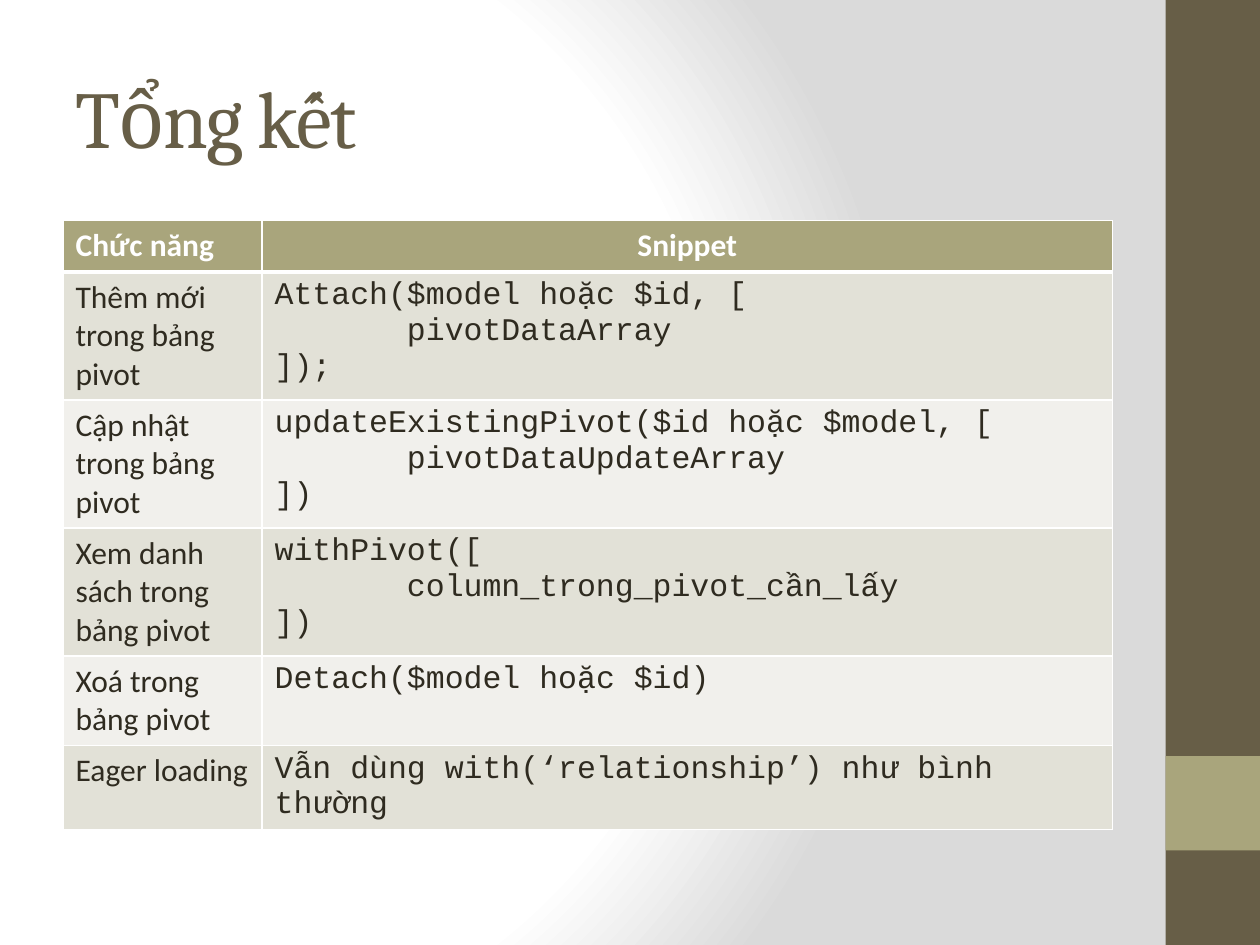
from lxml import etree
from pptx import Presentation
from pptx.dml.color import RGBColor
from pptx.enum.shapes import MSO_SHAPE
from pptx.enum.text import MSO_ANCHOR, PP_ALIGN
from pptx.oxml import parse_xml
from pptx.oxml.ns import qn
from pptx.util import Inches, Pt

# Content
TITLE = "Tổng kết"
HEADERS = ("Chức năng", "Snippet")
# Function, code lines as (indent level, text), row height
SNIPPETS = [
    ("Thêm mới trong bảng pivot",
     [(0, "Attach($model hoặc $id, ["), (1, "pivotDataArray"), (0, "]);")], 1.01),
    ("Cập nhật trong bảng pivot",
     [(0, "updateExistingPivot($id hoặc $model, ["), (1, "pivotDataUpdateArray"), (0, "])")], 1.01),
    ("Xem danh sách trong bảng pivot",
     [(0, "withPivot(["), (1, "column_trong_pivot_cần_lấy"), (0, "])")], 1.01),
    ("Xoá trong bảng pivot", [(0, "Detach($model hoặc $id)")], 0.71),
    ("Eager loading", [(0, "Vẫn dùng with(‘relationship’) như bình thường")], 0.66),
]
COLORS = {"brown": "675E47", "olive": "A9A57C", "ink": "2F2B20", "white": "FFFFFF",
          "grey": "DADADA", "band_dark": "E2E1D7", "band_light": "F1F0EC"}
HEADER_HEIGHT = 0.41
COLUMN_WIDTHS = (1.58, 6.75)
CODE_INDENT = Inches(1.05)


def rgb(name):
    return RGBColor.from_string(COLORS[name])


def style_run(run, font, size, color, bold=False):
    run.font.name, run.font.size, run.font.bold = font, Pt(size), bold
    run.font.color.rgb = rgb(color)


def set_borders(cell, **widths):
    for side in "LRTB":
        line = etree.SubElement(cell._tc.get_or_add_tcPr(), qn(f"a:ln{side}"),
                                w=str(Pt(widths.get(side, 1))))
        fill = etree.SubElement(line, qn("a:solidFill"))
        etree.SubElement(fill, qn("a:srgbClr"), val=COLORS["white"])


def fill_cell(cell, lines, font, color, fill, bold=False, align=PP_ALIGN.LEFT, **borders):
    set_borders(cell, **borders)
    cell.fill.solid()
    cell.fill.fore_color.rgb = rgb(fill)
    frame = cell.text_frame
    for i, (level, text) in enumerate(lines):
        paragraph = frame.add_paragraph() if i else frame.paragraphs[0]
        paragraph.alignment = align
        if level:
            paragraph._p.get_or_add_pPr().set("marL", str(level * CODE_INDENT))
        run = paragraph.add_run()
        run.text = text
        style_run(run, font, 18, color, bold)


prs = Presentation()
prs.slide_width, prs.slide_height = Inches(10), Inches(7.5)
slide = prs.slides.add_slide(prs.slide_layouts[5])

# Background gradient
slide.background.fill.solid()
bg_props = slide._element.cSld.find(".//" + qn("p:bgPr"))
stops = "".join(f'<a:gs pos="{pos * 1000}"><a:srgbClr val="{COLORS[name]}"/></a:gs>'
                for pos, name in ((0, "white"), (75, "white"), (100, "grey")))
bg_props.replace(bg_props[0], parse_xml(
    '<a:gradFill xmlns:a="http://schemas.openxmlformats.org/drawingml/2006/main" '
    f'rotWithShape="1"><a:gsLst>{stops}</a:gsLst><a:path path="circle">'
    '<a:fillToRect l="20000" t="50000" r="100000" b="50000"/></a:path></a:gradFill>'))

# Side bar and its accent
for top, height, color in ((0, 7.5, "brown"), (6, 0.75, "olive")):
    bar = slide.shapes.add_shape(MSO_SHAPE.RECTANGLE, Inches(9.25), Inches(top),
                                 Inches(0.75), Inches(height))
    bar.shadow.inherit = False
    bar.fill.solid()
    bar.fill.fore_color.rgb = rgb(color)
    bar.line.fill.background()

# Title
title = slide.shapes.title
title.left, title.top = Inches(0.5), Inches(0.3)
title.width, title.height = Inches(sum(COLUMN_WIDTHS)), Inches(1.25)
title.text_frame.text = TITLE
title.text_frame.vertical_anchor = MSO_ANCHOR.MIDDLE
heading = title.text_frame.paragraphs[0]
heading.alignment = PP_ALIGN.LEFT
style_run(heading.runs[0], "Cambria", 46, "brown")
heading.runs[0].font._element.set("spc", "-100")

# Table
heights = [HEADER_HEIGHT] + [height for _, _, height in SNIPPETS]
table = slide.shapes.add_table(len(heights), len(HEADERS), Inches(0.5), Inches(1.75),
                               Inches(sum(COLUMN_WIDTHS)), Inches(sum(heights))).table
for column, width in zip(table.columns, COLUMN_WIDTHS):
    column.width = Inches(width)
for row, height in zip(table.rows, heights):
    row.height = Inches(height)

for col, (text, align) in enumerate(zip(HEADERS, (PP_ALIGN.LEFT, PP_ALIGN.CENTER))):
    fill_cell(table.cell(0, col), [(0, text)], "Calibri", "white", "olive",
              bold=True, align=align, B=3)
for row, (function, code, _) in enumerate(SNIPPETS, start=1):
    band = "band_dark" if row % 2 else "band_light"
    top = 3 if row == 1 else 1
    fill_cell(table.cell(row, 0), [(0, function)], "Calibri", "ink", band, T=top)
    fill_cell(table.cell(row, 1), code, "Courier New", "ink", band, T=top)

prs.save("out.pptx")
